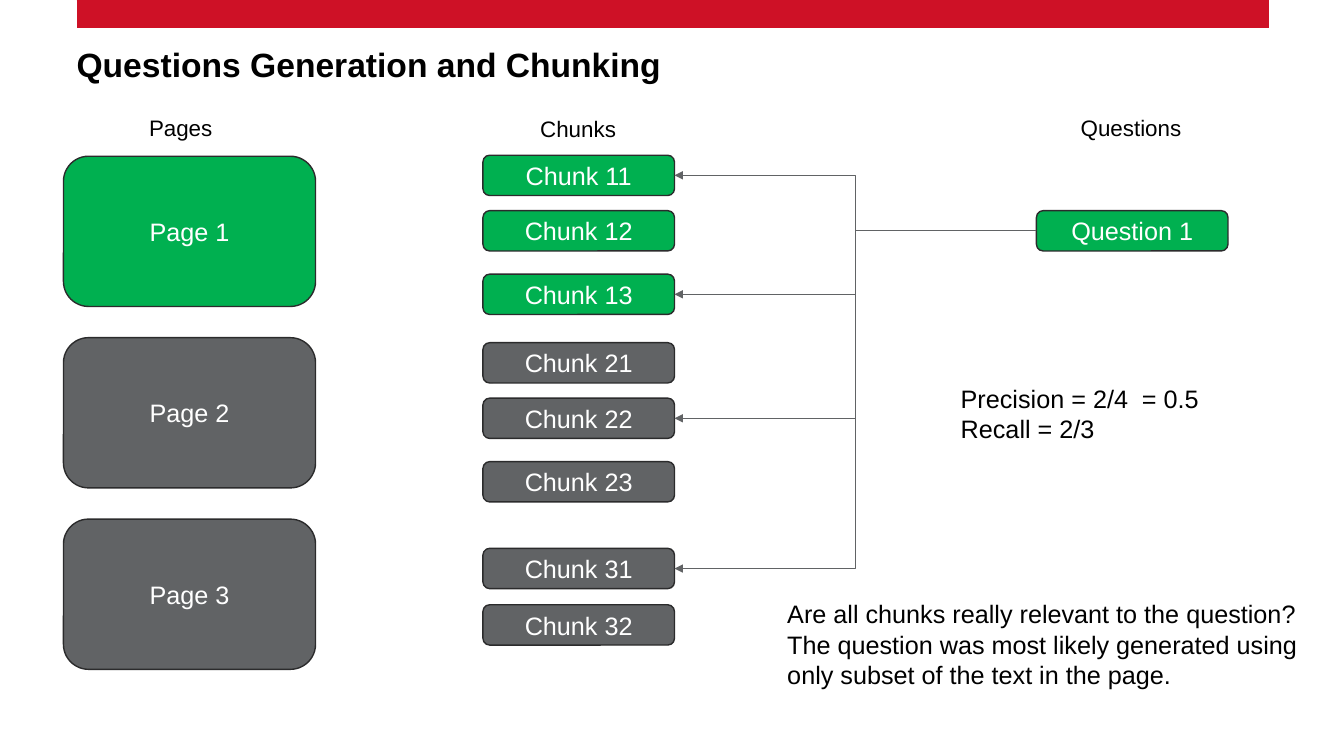
import lxml.etree
import pptx
import pptx.dml.color
import pptx.enum.shapes
import pptx.enum.text
import pptx.oxml.ns
import pptx.util

PX = 9144  # 100 px to the inch
GREEN, GRAY, RED = "00B050", "616365", "CE1126"
BLACK, WHITE, OUTLINE = "000000", "FFFFFF", "2B2B2C"
CONNECTOR = pptx.enum.shapes.MSO_CONNECTOR
LEFT_SIDE, RIGHT_SIDE = 1, 3
NO_EFFECTS = pptx.oxml.ns.qn("a:effectLst")


def rgb(code):
    return pptx.dml.color.RGBColor.from_string(code)


def write(shape, lines, size, color, frame_format, bold=False, **paragraph_format):
    """Fill a shape's text frame, one paragraph per line."""
    frame = shape.text_frame
    for name, value in frame_format.items():
        setattr(frame, name, value)
    frame.text = "\n".join(lines)
    for paragraph in frame.paragraphs:
        for name, value in paragraph_format.items():
            setattr(paragraph, name, value)
        font = paragraph.runs[0].font
        for name, value in {"name": "Arial", "size": pptx.util.Pt(size), "bold": bold}.items():
            setattr(font, name, value)
        font.color.rgb = rgb(color)


deck = pptx.Presentation()
deck.slide_width, deck.slide_height = 1333 * PX, 750 * PX
slide = deck.slides.add_slide(deck.slide_layouts[5])
shapes = slide.shapes

# Title and red band
title = shapes.title
for name, value in {"left": 76, "top": 51, "width": 1182, "height": 40}.items():
    setattr(title, name, value * PX)
title_frame = {f"margin_{side}": 0 for side in ("left", "top", "right", "bottom")}
title_frame["vertical_anchor"] = pptx.enum.text.MSO_ANCHOR.TOP
write(title, ["Questions Generation and Chunking"], 24, BLACK, title_frame, bold=True,
      alignment=pptx.enum.text.PP_ALIGN.LEFT, line_spacing=0.8)

band = shapes.add_connector(CONNECTOR.STRAIGHT, 76 * PX, 14 * PX, 1259 * PX, 14 * PX)
band.line.color.rgb = rgb(RED)
band.line.width = pptx.util.Pt(20)
lxml.etree.SubElement(band._element.spPr, NO_EFFECTS)

# Column headings and remarks
texts = [
    (["Pages"], 138, 108, 84, 37, 16, False),
    (["Chunks"], 526, 109, 96, 37, 16, False),
    (["Questions"], 1062, 108, 121, 37, 16, False),
    (["Precision = 2/4  = 0.5", "Recall = 2/3"], 943, 375, 259, 71, 18, False),
    (["Are all chunks really relevant to the question?",
      "The question was most likely generated using only subset of the text in the page."],
     771, 589, 537, 101, 18, True),
]
for lines, left, top, width, height, size, wrap in texts:
    box = shapes.add_textbox(left * PX, top * PX, width * PX, height * PX)
    write(box, lines, size, BLACK, {
        "word_wrap": wrap, "auto_size": pptx.enum.text.MSO_AUTO_SIZE.SHAPE_TO_FIT_TEXT})

# Pages, chunks and the question
page_size, chunk_size = (250, 149), (190, 40)
cards = [(f"Page {n + 1}", 63, 155 + 180 * n, page_size, GRAY if n else GREEN)
         for n in range(3)]
chunk_tops = {11: 154, 12: 209, 13: 272, 21: 340, 22: 395, 23: 458, 31: 544, 32: 600}
cards += [(f"Chunk {n}", 479, top, chunk_size, GREEN if n < 20 else GRAY)
          for n, top in chunk_tops.items()]
cards.append(("Question 1", 1028, 209, chunk_size, GREEN))

card_by_label = {}
for label, left, top, (width, height), fill in cards:
    card = shapes.add_shape(pptx.enum.shapes.MSO_SHAPE.ROUNDED_RECTANGLE,
                            left * PX, top * PX, width * PX, height * PX)
    card.shadow.inherit = False
    card.fill.solid()
    card.fill.fore_color.rgb = rgb(fill)
    card.line.color.rgb = rgb(OUTLINE)
    card.line.width = pptx.util.Pt(1)
    write(card, [label], 18, WHITE, {"vertical_anchor": pptx.enum.text.MSO_ANCHOR.MIDDLE},
          alignment=pptx.enum.text.PP_ALIGN.CENTER)
    card_by_label[label] = card

# Chunks retrieved for the question
for n in (11, 13, 22, 31):
    arrow = shapes.add_connector(CONNECTOR.ELBOW, 0, 0, 0, 0)
    arrow.begin_connect(card_by_label["Question 1"], LEFT_SIDE)
    arrow.end_connect(card_by_label[f"Chunk {n}"], RIGHT_SIDE)
    arrow.line.color.rgb = rgb(GRAY)
    arrow.line.width = pptx.util.Pt(0.5)
    outline = arrow._element.spPr.find(pptx.oxml.ns.qn("a:ln"))
    lxml.etree.SubElement(outline, pptx.oxml.ns.qn("a:tailEnd"), type="triangle")
    lxml.etree.SubElement(arrow._element.spPr, NO_EFFECTS)

deck.save("out.pptx")
